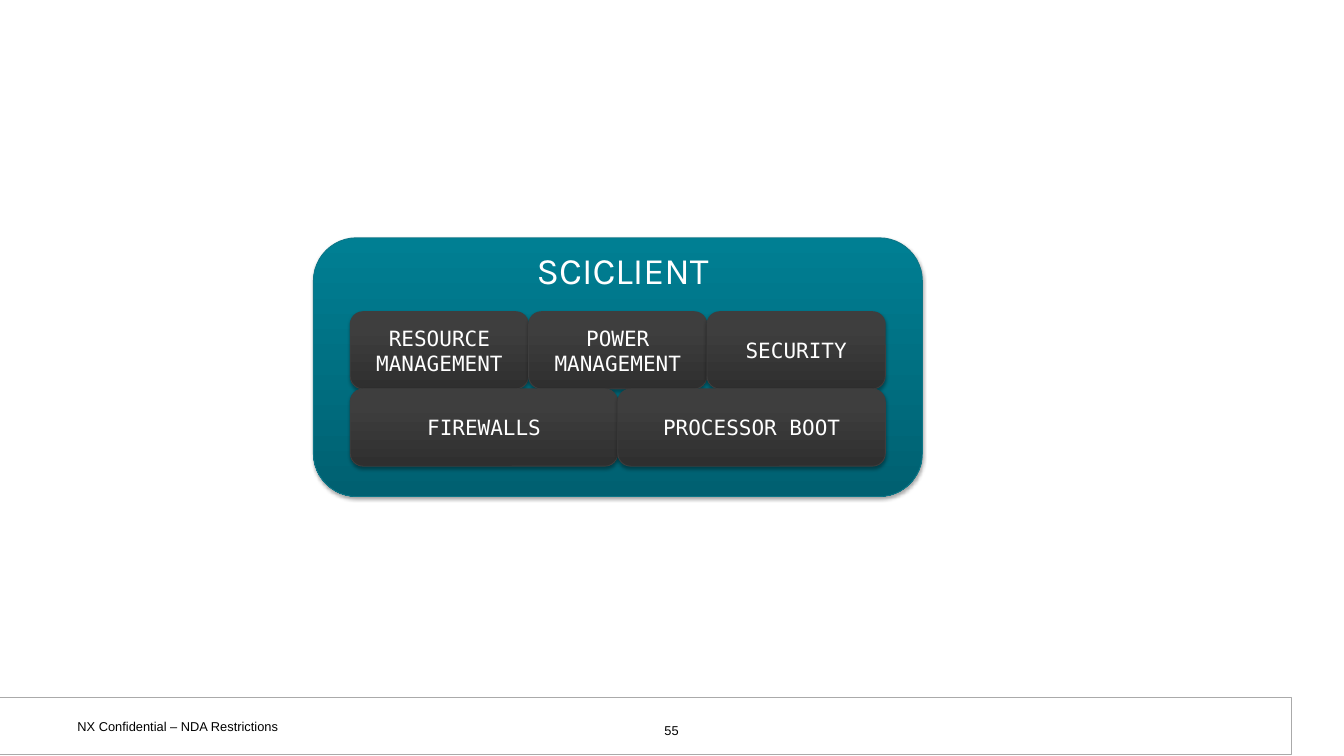
from lxml.etree import SubElement
from pptx import Presentation
from pptx.dml.color import RGBColor
from pptx.enum.shapes import MSO_SHAPE
from pptx.enum.text import MSO_ANCHOR, PP_ALIGN
from pptx.oxml.ns import qn
from pptx.util import Pt

WHITE = RGBColor(0xFF, 0xFF, 0xFF)
BLACK = RGBColor(0x00, 0x00, 0x00)
FOOTER_LINE = RGBColor(0xAA, 0xAA, 0xAA)
TEAL_TOP = RGBColor(0x00, 0x7F, 0x93)
TEAL_BOTTOM = RGBColor(0x00, 0x60, 0x71)
TEAL_LINE = RGBColor(0x0D, 0x76, 0x87)
GRAY_TOP = RGBColor(0x3E, 0x3E, 0x3E)
GRAY_BOTTOM = RGBColor(0x2F, 0x2F, 0x2F)

TILE_ROWS = [
    ["RESOURCE MANAGEMENT", "POWER MANAGEMENT", "SECURITY"],
    ["FIREWALLS", "PROCESSOR BOOT"],
]
TILES_LEFT, TILES_TOP, TILES_WIDTH = 300.2, 267.1, 458.7
TILE_HEIGHT = 66.25


def add_soft_shadow(sp):
    sp.shadow.inherit = False
    effects = sp._element.spPr.find(qn("a:effectLst"))
    shadow = SubElement(effects, qn("a:outerShdw"), blurRad=str(Pt(3.1)),
                        dist=str(Pt(1.8)), dir="5400000", rotWithShape="0")
    color = SubElement(shadow, qn("a:srgbClr"), val="000000")
    SubElement(color, qn("a:alpha"), val="35000")


def add_panel(slide, left, top, width, height, top_color, bottom_color, line, start=0):
    """Rounded rectangle with a vertical gradient and a soft shadow."""
    sp = slide.shapes.add_shape(MSO_SHAPE.ROUNDED_RECTANGLE, Pt(left), Pt(top),
                                Pt(width), Pt(height))
    sp.adjustments[0] = 0.167
    sp.fill.gradient()
    sp.fill.gradient_angle = 270
    first, last = sp.fill.gradient_stops
    first.position, last.position = start, 1
    first.color.rgb, last.color.rgb = top_color, bottom_color
    sp.line.color.rgb = line
    sp.line.width = Pt(0.75)
    add_soft_shadow(sp)
    return sp


def set_text(sp, text, size, font, color, align=PP_ALIGN.LEFT,
             anchor=MSO_ANCHOR.TOP, inset=(7.2, 3.6)):
    tf = sp.text_frame
    tf.word_wrap = True
    tf.vertical_anchor = anchor
    tf.margin_left = tf.margin_right = Pt(inset[0])
    tf.margin_top = tf.margin_bottom = Pt(inset[1])
    p = tf.paragraphs[0]
    p.text = text
    p.alignment = align
    p.font.size = Pt(size)
    p.font.name = font
    p.font.color.rgb = color


def add_label(slide, left, top, width, height, *text, **options):
    sp = slide.shapes.add_textbox(Pt(left), Pt(top), Pt(width), Pt(height))
    set_text(sp, *text, **options)


def add_footer(slide):
    bar = slide.shapes.add_shape(MSO_SHAPE.RECTANGLE, Pt(-2.2), Pt(597.6),
                                 Pt(1108.8), Pt(49))
    bar.shadow.inherit = False
    bar.fill.solid()
    bar.fill.fore_color.rgb = WHITE
    bar.line.color.rgb = FOOTER_LINE
    bar.line.width = Pt(0.75)
    inset = (9.4, 5)
    add_label(slide, 56.9, 610.6, 265.7, 23, "NX Confidential – NDA Restrictions",
              11, "Arial", BLACK, inset=inset)
    add_label(slide, 441.4, 614.2, 268.6, 19.4, "55", 11, "Arial", BLACK,
              align=PP_ALIGN.CENTER, inset=inset)


def add_tiles(slide):
    for row, names in enumerate(TILE_ROWS):
        width = TILES_WIDTH / len(names)
        for col, name in enumerate(names):
            sp = add_panel(slide, TILES_LEFT + col * width, TILES_TOP + row * TILE_HEIGHT,
                           width, TILE_HEIGHT, GRAY_TOP, GRAY_BOTTOM, GRAY_TOP, start=0.2)
            set_text(sp, name, 18, "DejaVu Sans Mono", WHITE,
                     align=PP_ALIGN.CENTER, anchor=MSO_ANCHOR.MIDDLE)


def main():
    prs = Presentation()
    prs.slide_width, prs.slide_height = Pt(1152), Pt(648)
    slide = prs.slides.add_slide(prs.slide_layouts[6])

    add_footer(slide)

    # Sciclient block with its service tiles
    add_panel(slide, 268.6, 203.8, 522, 221.8, TEAL_TOP, TEAL_BOTTOM, TEAL_LINE)
    add_label(slide, 452.9, 208.1, 162.7, 83.5, "SCICLIENT", 32, "Karla", WHITE)
    add_tiles(slide)

    prs.save("out.pptx")


if __name__ == "__main__":
    main()
